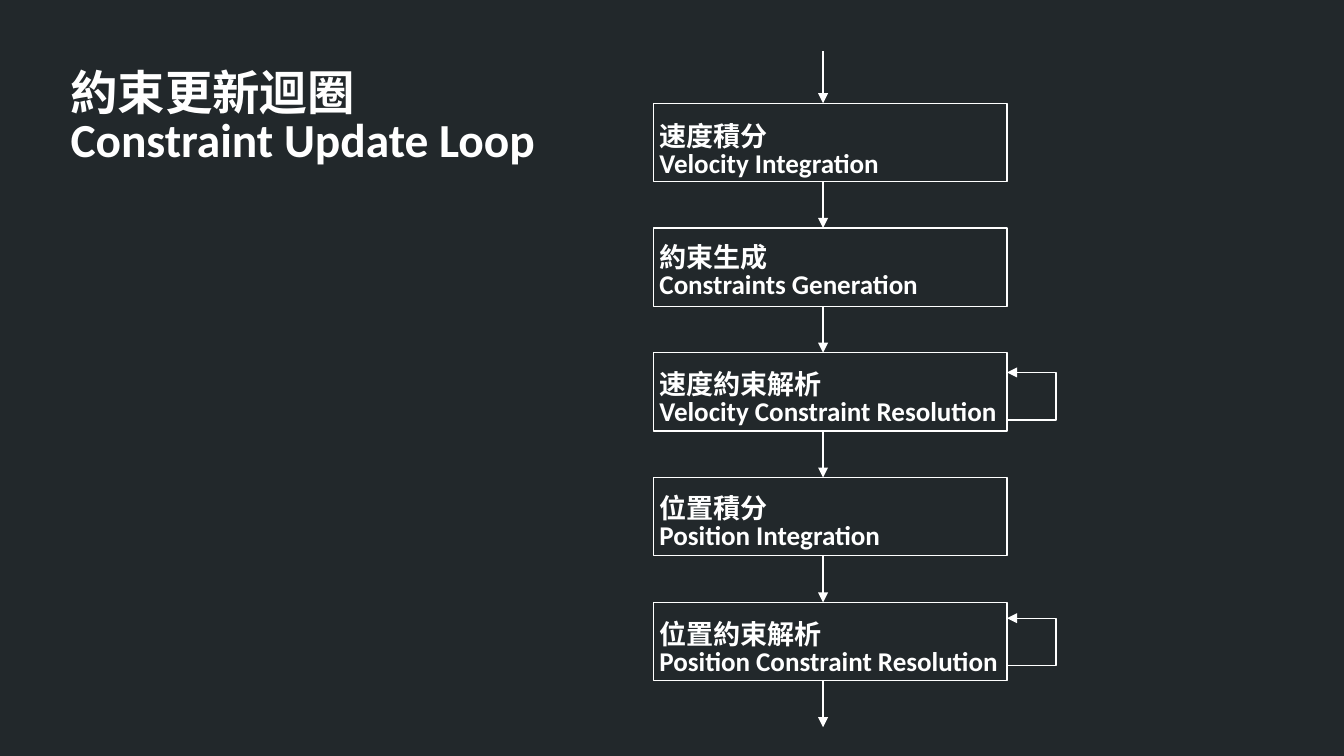
"""Build the constraint update loop slide."""
from pptx import Presentation
from pptx import util as u
from pptx.dml.color import RGBColor
from pptx.enum import shapes, text
from pptx.oxml.ns import qn
from lxml import etree

HUES = {"back": "22282B", "ink": "FFFFFF"}
STEPS = [
    ("速度積分", "Velocity Integration", 0.46, None),
    ("約束生成", "Constraints Generation", 0.38, None),
    ("速度約束解析", "Velocity Constraint Resolution", 0.41, 0.41),
    ("位置積分", "Position Integration", 0.41, None),
    ("位置約束解析", "Position Constraint Resolution", 0.43, 0.33),
]


def hue(name):
    """Return a named colour."""
    return RGBColor.from_string(HUES[name])


def ink(line, arrow=False):
    """Draw a thin line, with an arrowhead at its end if asked."""
    line.color.rgb = hue("ink")
    line.width = u.Pt(0.75)
    if arrow:
        tail = etree.SubElement(line._get_or_add_ln(), qn("a:tailEnd"))
        tail.set("type", "triangle")


def write(shape, lines, size, left, top):
    """Write bold lines from the top left of a shape."""
    frame = shape.text_frame
    frame.word_wrap = True
    frame.vertical_anchor = text.MSO_ANCHOR.TOP
    frame.margin_left, frame.margin_top = u.Cm(left), u.Cm(top)
    frame.margin_right = frame.margin_bottom = 0
    frame.text = "\n".join(lines)
    for para in frame.paragraphs:
        para.alignment = text.PP_ALIGN.LEFT
        para.line_spacing = 0.83
        font = para.font
        font.name, font.size, font.bold = "Calibri", u.Pt(size), True
        font.color.rgb = hue("ink")


def title(slide, x, y, w, h):
    """Place the two-line title."""
    box = slide.shapes.add_textbox(u.Cm(x), u.Cm(y), u.Cm(w), u.Cm(h))
    write(box, ["約束更新迴圈", "Constraint Update Loop"], 28, 0.25, 0.3)


def arrow(slide, x, top, end):
    """Draw an arrow straight down."""
    line = slide.shapes.add_connector(
        shapes.MSO_CONNECTOR.STRAIGHT, u.Cm(x), u.Cm(top), u.Cm(x), u.Cm(end))
    ink(line.line, True)
    etree.SubElement(line._element.spPr, qn("a:effectLst"))


def loop(slide, x, y, w, h):
    """Draw a loop that leaves a box low and returns to it higher up."""
    pen = slide.shapes.build_freeform(u.Cm(x), u.Cm(y + h))
    pen.add_line_segments(
        [(u.Cm(x + w), u.Cm(y + h)), (u.Cm(x + w), u.Cm(y)), (u.Cm(x), u.Cm(y))],
        close=False)
    shape = pen.convert_to_shape()
    shape.shadow.inherit = False
    shape.fill.background()
    ink(shape.line, True)


def flow(slide, x, y, w, h):
    """Place the column of steps with its arrows and loops."""
    tall, gap = 1.63, 0.97
    lead = h - len(STEPS) * (tall + gap)
    mid = x + 0.48 * w
    arrow(slide, mid, y, y + lead)
    for i, (name, gloss, inset, turn) in enumerate(STEPS):
        top = y + lead + i * (tall + gap)
        box = slide.shapes.add_shape(
            shapes.MSO_SHAPE.RECTANGLE, u.Cm(x), u.Cm(top), u.Cm(w), u.Cm(tall))
        box.shadow.inherit = False
        box.fill.background()
        ink(box.line)
        write(box, [name, gloss], 16, 0.13, inset)
        arrow(slide, mid, top + tall, top + tall + gap)
        if turn is not None:
            loop(slide, x + w, top + turn, 1.02, 0.99)


def main():
    """Build and save the slide."""
    deck = Presentation()
    deck.slide_width, deck.slide_height = u.Cm(28), u.Cm(15.75)
    slide = deck.slides.add_slide(deck.slide_layouts[6])
    slide.background.fill.solid()
    slide.background.fill.fore_color.rgb = hue("back")
    title(slide, 1.22, 1.22, 12.5, 2.34)
    flow(slide, 13.61, 1.07, 7.37, 14.08)
    deck.save("out.pptx")


if __name__ == "__main__":
    main()
